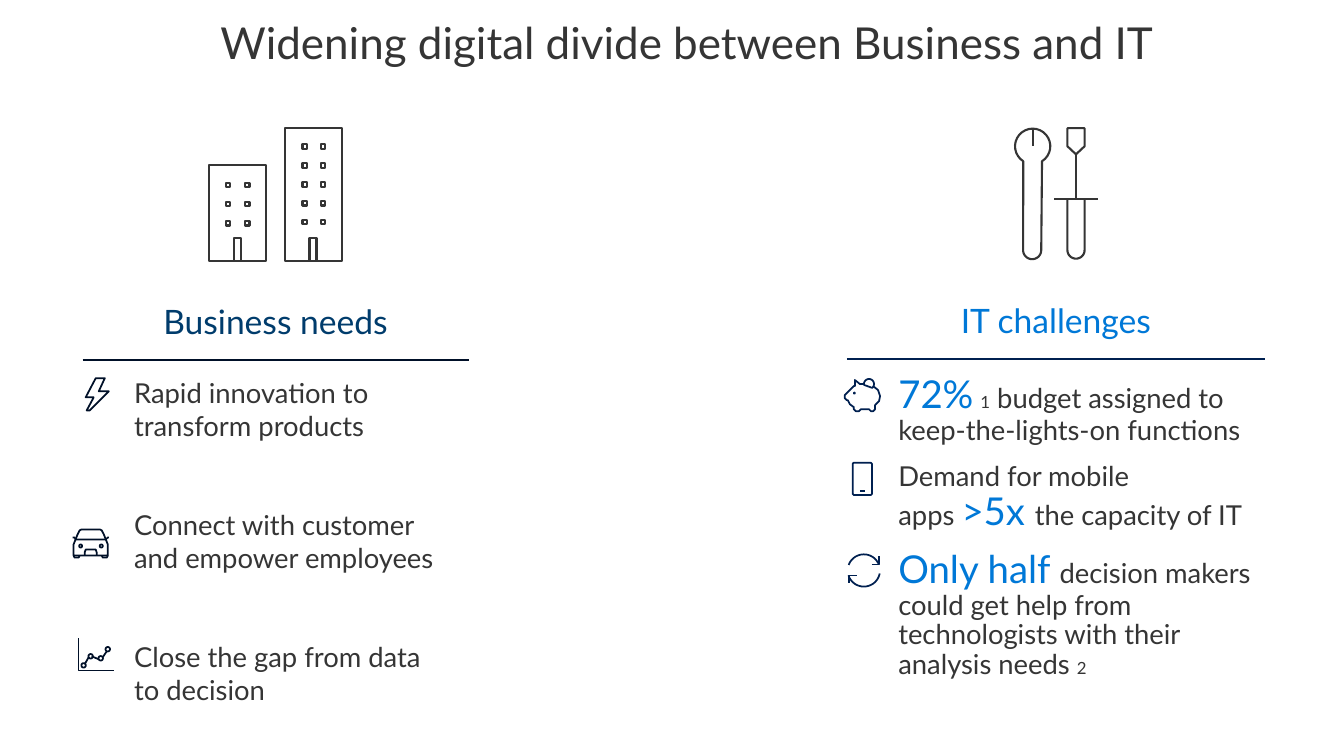
import math

import pptx
import pptx.dml.color
import pptx.enum.shapes
import pptx.enum.text
import pptx.oxml
import pptx.util

Cm = pptx.util.Cm
Pt = pptx.util.Pt
RGBColor = pptx.dml.color.RGBColor
ALIGN = pptx.enum.text.PP_ALIGN
ANCHOR = pptx.enum.text.MSO_ANCHOR

INK = RGBColor(0x35, 0x35, 0x35)
NAVY = RGBColor(0x00, 0x20, 0x50)
DARK_NAVY = RGBColor(0x00, 0x10, 0x28)
DEEP_BLUE = RGBColor(0x00, 0x3C, 0x6C)
BLUE = RGBColor(0x00, 0x78, 0xD7)

FONT = "Lato"
BODY, BIG, NOTE = 19.6, 27.4, 12
ICON_UNIT = Cm(2.54) / 100  # icons are drawn on a grid of this step


# Stroke makers: each returns a list of grid points
def arc(x, y, radius, start, end, steps=24):
    angles = [math.radians(start + (end - start) * i / steps) for i in range(steps + 1)]
    return [(x + radius * math.cos(a), y + radius * math.sin(a)) for a in angles]


def ring(x, y, radius):
    return loop(arc(x, y, radius, 0, 345, 23))


def loop(points):
    return points + points[:1]


def rect(x, y, width, height):
    return loop([(x, y), (x + width, y), (x + width, y + height), (x, y + height)])


# Icons
def buildings():
    doors = [[(x, 132), (x, 109), (x + 7, 109), (x + 7, 132)] for x in (25, 100)]
    tall = [rect(x, 16 + 18.75 * row, 4.5, 4.5) for x in (93, 111) for row in range(5)]
    low = [rect(x, 54 + 19 * row, 4.5, 4.5) for x in (17, 36) for row in range(3)]
    return [rect(76, 0, 56, 132), rect(0, 37, 57, 95)] + doors + tall + low


def tools():
    return [
        loop(arc(17.5, 18, 17.5, 122, 418) + arc(17, 121, 9, 0, 180)),
        [(52, 70)] + arc(60.5, 121, 8.5, 180, 0) + [(69, 70)],
        [(17.5, 0), (17.5, 18)],
        [(39, 70), (82, 70)],
        [(60.5, 70), (60.5, 26)],
        loop([(69, 0), (52, 0), (52, 18), (60.5, 26), (69, 18)]),
    ]


def bolt():
    return [loop([(4, 32), (23, 13), (13, 13), (19, 0), (10, 0), (0, 19), (8, 19), (1, 32)])]


def car():
    wheels = [[(x, 26), (x + 1, 28), (x + 5, 28), (x + 6, 26)] for x in (1, 29)]
    return wheels + [
        loop([(35, 15), (35, 26), (1, 26), (1, 15), (5, 5), (7, 1), (9, 0),
              (27, 0), (29, 1), (31, 5)]),
        ring(8, 16.5, 1.5),
        ring(28.5, 16.5, 1.5),
        [(24, 26), (24, 23), (23, 20), (13, 20), (12, 23), (12, 26)],
        [(0, 8), (2, 8), (3, 10), (33, 10), (35, 8), (36, 8)],
    ]


def line_graph():
    markers = [ring(x, y, 2.2) for x, y in ((5, 27), (12, 18), (22, 20), (29, 11))]
    links = [[(6, 26), (10, 19)], [(13, 18), (20, 21)], [(24, 19), (28, 13)]]
    return [[(35, 32), (0, 32), (0, 0)]] + markers + links


def piggy_bank():
    return [
        loop(arc(24, 5, 5, 170, 410)),
        [(19, 5), (15, 5), (10, 1), (10, 7), (9, 7), (6, 10), (2, 14), (0, 16), (0, 19),
         (2, 21), (3, 21), (5, 25), (9, 28), (9, 30), (11, 32), (14, 32), (16, 30),
         (24, 30), (26, 32), (28, 32), (30, 30), (30, 26), (34, 22), (35, 17),
         (33, 11), (28, 7)],
        ring(9.5, 14, 0.5),
    ]


def phone():
    return [
        loop([(1, 0), (18, 0), (19, 1), (19, 31), (18, 32), (1, 32), (0, 31), (0, 1)]),
        [(7, 28), (12, 28)],
    ]


def sync_arrows():
    return [
        arc(15, 16, 16, 11, 162),
        arc(15, 16, 16, -22, -160),
        [(23, 10), (30, 10), (30, 2)],
        [(8, 21), (0, 21), (0, 28)],
    ]


def draw_icon(page, left, top, strokes, color, weight):
    builder = page.shapes.build_freeform(scale=1.0)
    for stroke in strokes:
        points = [(x * ICON_UNIT, y * ICON_UNIT) for x, y in stroke]
        builder.move_to(*points[0])
        builder.add_line_segments(points[1:], close=stroke[0] == stroke[-1])
    icon = builder.convert_to_shape(Cm(left), Cm(top))
    icon.shadow.inherit = False
    icon.fill.background()
    icon.line.color.rgb = color
    icon.line.width = Pt(weight)


# Text and lines
def add_box(page, left, top, width, height, padding=(0.51, 0.41)):
    box = page.shapes.add_textbox(Cm(left), Cm(top), Cm(width), Cm(height))
    frame = box.text_frame
    frame.word_wrap = True
    frame.margin_left = frame.margin_right = Cm(padding[0])
    frame.margin_top = frame.margin_bottom = Cm(padding[1])
    return frame


def set_centred(frame, text, size, color):
    para = frame.paragraphs[0]
    para.text = text
    para.alignment = ALIGN.CENTER
    para.line_spacing = 0.9
    para.font.name, para.font.size, para.font.color.rgb = FONT, Pt(size), color


def add_rule(page, left, top, width, color):
    rule = page.shapes.add_connector(pptx.enum.shapes.MSO_CONNECTOR.STRAIGHT,
                                     Cm(left), Cm(top), Cm(left + width), Cm(top))
    rule.line.color.rgb = color
    rule.line.width = Pt(1.25)
    pptx.oxml.ns  # namespace helper used for the empty effect list
    rule._element.spPr.append(pptx.oxml.parse_xml(
        '<a:effectLst xmlns:a="http://schemas.openxmlformats.org/drawingml/2006/main"/>'))


def add_items(frame, items, gap, spacing):
    for index, spans in enumerate(items):
        para = frame.add_paragraph() if index else frame.paragraphs[0]
        para._p.get_or_add_pPr().set("marL", str(Cm(0.79)))
        para.space_before = Pt(gap if index else 0)
        para.space_after = Pt(5.9)
        para.line_spacing = spacing
        para.font.name = FONT
        for text, size, color in spans:
            for number, line in enumerate(text.split("\n")):
                if number:
                    para.add_line_break()
                span = para.add_run()
                span.text = line
                span.font.size, span.font.color.rgb = Pt(size), color


def add_column(page, left, top, width, heading, heading_color, rule_color,
               hero, item_icons, items, body_width, gap, spacing):
    strokes, across, down = hero
    draw_icon(page, left + across, top + down, strokes, INK, 1.5)
    set_centred(add_box(page, left, top + 4.06, width, 1.78), heading, 24, heading_color)
    add_rule(page, left, top + 5.84, width, rule_color)
    add_items(add_box(page, left, top + 5.84, body_width, 8.4), items, gap, spacing)
    for strokes, across, down in item_icons:
        draw_icon(page, left + across, top + down, strokes, rule_color, 1.25)


def add_title(page, left, top, width, height):
    frame = add_box(page, left, top, width, height, (0.25, 0.13))
    frame.vertical_anchor = ANCHOR.MIDDLE
    set_centred(frame, "Widening digital divide between Business and IT", 31.4, INK)


def main():
    deck = pptx.Presentation()
    deck.slide_width, deck.slide_height = Cm(33.87), Cm(19.05)
    page = deck.slides.add_slide(deck.slide_layouts[6])
    add_title(page, 0.38, 0.23, 33.87, 1.83)

    needs = ["Rapid innovation to transform products",
             "Connect with customer and empower employees",
             "Close the gap from data to decision"]
    add_column(page, 2.08, 3.23, 9.73, "Business needs", DEEP_BLUE, DARK_NAVY,
               (buildings(), 3.18, 0),
               [(bolt(), 0.08, 6.3), (car(), -0.25, 10.11), (line_graph(), -0.1, 12.85)],
               [[(need, BODY, INK)] for need in needs], 9.73, 41.3, 1.0)

    challenges = [
        [("72%", BIG, BLUE), (" ", BODY, BLUE), ("1", NOTE, INK),
         (" budget assigned to keep-the-lights-on functions", BODY, INK)],
        [("Demand for mobile\napps ", BODY, INK), (">5x ", BIG, BLUE),
         ("the capacity of IT", BODY, INK)],
        [("Only half ", BIG, BLUE),
         ("decision makers could get help from technologists with their analysis needs ",
          BODY, INK), ("2", NOTE, INK)],
    ]
    add_column(page, 21.34, 3.2, 10.54, "IT challenges", BLUE, NAVY,
               (tools(), 4.24, 0.03),
               [(piggy_bank(), -0.05, 6.35), (phone(), 0.15, 8.46),
                (sync_arrows(), 0.05, 10.77)],
               challenges, 10.97, 5.9, 0.9)
    deck.save("out.pptx")


if __name__ == "__main__":
    main()
